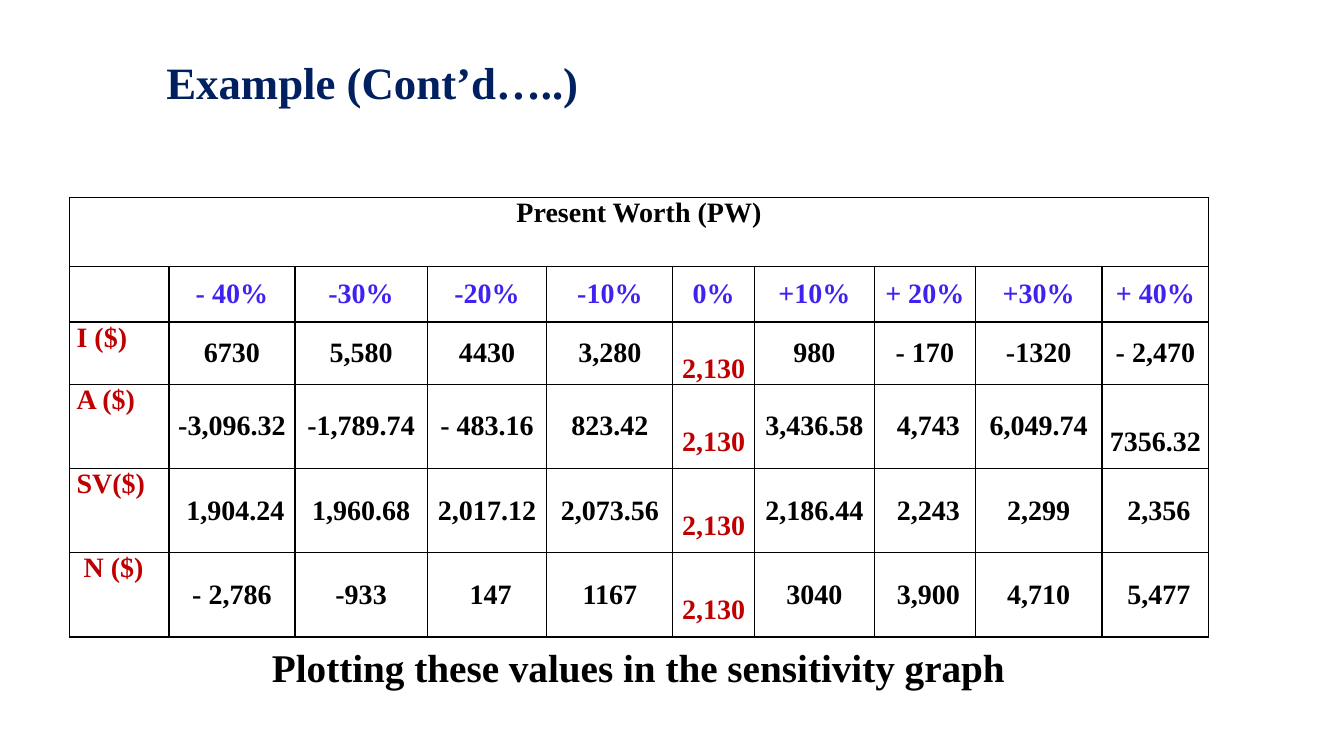
from dataclasses import dataclass

from lxml import etree
from pptx import Presentation
from pptx.dml.color import RGBColor
from pptx.enum.text import MSO_ANCHOR, MSO_AUTO_SIZE, PP_ALIGN
from pptx.oxml.ns import qn
from pptx.util import Pt

LEFT, CENTER = PP_ALIGN.LEFT, PP_ALIGN.CENTER
TOP, MIDDLE = MSO_ANCHOR.TOP, MSO_ANCHOR.MIDDLE
NO_AUTOFIT = MSO_AUTO_SIZE.NONE


@dataclass(frozen=True)
class Theme:
    """Font, type sizes and colours of the slide."""
    font: str = "Times New Roman"
    title_size: int = 32
    caption_size: int = 28
    cell_size: int = 20
    navy: str = "002060"
    black: str = "000000"
    blue: str = "3F21F1"
    red: str = "C00000"


THEME = Theme()
COL_WIDTHS = [71.2, 90, 94.5, 85.5, 90, 58.2, 85.8, 72, 90.6, 76.2]
ROW_HEIGHTS = [49.5, 39.5, 44.5, 60.2, 60.2, 60.2]
BASE_COL = 5
PW_ROWS = [
    ["", "- 40%", "-30%", "-20%", "-10%", "0%", "+10%", "+ 20%", "+30%", "+ 40%"],
    ["I ($)", "6730", "5,580", "4430", "3,280", " 2,130", "980", "- 170", "-1320",
     "- 2,470"],
    ["A ($)", "-3,096.32", "-1,789.74", "- 483.16", "823.42", " 2,130", "3,436.58",
     " 4,743", "6,049.74", " 7356.32"],
    ["SV($)", " 1,904.24", "1,960.68", "2,017.12", "2,073.56", " 2,130", "2,186.44",
     " 2,243", "2,299", " 2,356"],
    [" N ($)", "- 2,786", "-933", " 147", "1167", " 2,130", "3040", " 3,900", "4,710",
     " 5,477"],
]


def write(tf, text, size, color, align):
    """Set one bold paragraph in a text frame."""
    p = tf.paragraphs[0]
    p.text = text
    p.alignment = align
    p.font.size = Pt(size)
    for r in p.runs:
        r.font.name = THEME.font
        r.font.size = Pt(size)
        r.font.bold = True
        r.font.color.rgb = RGBColor.from_string(color)
    return p


def add_borders(cell):
    """Draw thin black lines on all sides of a table cell."""
    tcPr = cell._tc.get_or_add_tcPr()
    for i, side in enumerate(("lnL", "lnR", "lnT", "lnB")):
        ln = etree.Element(qn(f"a:{side}"), w=str(Pt(1)))
        fill = etree.SubElement(ln, qn("a:solidFill"))
        etree.SubElement(fill, qn("a:srgbClr"), val=THEME.black)
        tcPr.insert(i, ln)


def fill_cell(cell, text, color, align, anchor):
    """Write and style one table cell."""
    write(cell.text_frame, text, THEME.cell_size, color, align)
    cell.vertical_anchor = anchor
    cell.margin_left = cell.margin_right = Pt(5.2)
    cell.margin_top = cell.margin_bottom = 0


def place_title(s, x, y, w, h):
    """Place the title placeholder in its box."""
    sp = s.shapes.title
    sp.left, sp.top, sp.width, sp.height = Pt(x), Pt(y), Pt(w), Pt(h)
    tf = sp.text_frame
    tf.auto_size = NO_AUTOFIT
    tf.vertical_anchor = MIDDLE
    p = write(tf, "Example (Cont’d…..)", THEME.title_size, THEME.navy, LEFT)
    p.line_spacing = 0.9


def place_table(s, x, y):
    """Place the present worth table from its top left corner."""
    frame = s.shapes.add_table(len(ROW_HEIGHTS), len(COL_WIDTHS), Pt(x), Pt(y),
                               Pt(sum(COL_WIDTHS)), Pt(sum(ROW_HEIGHTS)))
    table = frame.table
    table.first_row = table.horz_banding = False
    for col, width in zip(table.columns, COL_WIDTHS):
        col.width = Pt(width)
    for row, height in zip(table.rows, ROW_HEIGHTS):
        row.height = Pt(height)
    for cell in table.iter_cells():
        cell.fill.background()
        add_borders(cell)

    heading = table.cell(0, 0)
    heading.merge(table.cell(0, len(COL_WIDTHS) - 1))
    fill_cell(heading, "Present Worth (PW)", THEME.black, CENTER, TOP)
    for i, values in enumerate(PW_ROWS, start=1):
        for j, text in enumerate(values):
            if i == 1:
                color = THEME.blue
            else:
                color = THEME.red if j in (0, BASE_COL) else THEME.black
            align, anchor = (CENTER, MIDDLE) if j else (LEFT, TOP)
            fill_cell(table.cell(i, j), text, color, align, anchor)


def place_caption(s, x, y, w, h):
    """Place the line below the table in its box."""
    tf = s.shapes.add_textbox(Pt(x), Pt(y), Pt(w), Pt(h)).text_frame
    tf.word_wrap = True
    write(tf, "Plotting these values in the sensitivity graph",
          THEME.caption_size, THEME.black, CENTER)


def main():
    """Build and save the slide."""
    prs = Presentation()
    prs.slide_width, prs.slide_height = Pt(960), Pt(540)
    s = prs.slides.add_slide(prs.slide_layouts[5])
    place_table(s, 49.5, 141)
    place_title(s, 111.6, 8.6, 828, 104.4)
    place_caption(s, 159, 455.8, 594, 41)
    prs.save("out.pptx")


if __name__ == "__main__":
    main()
